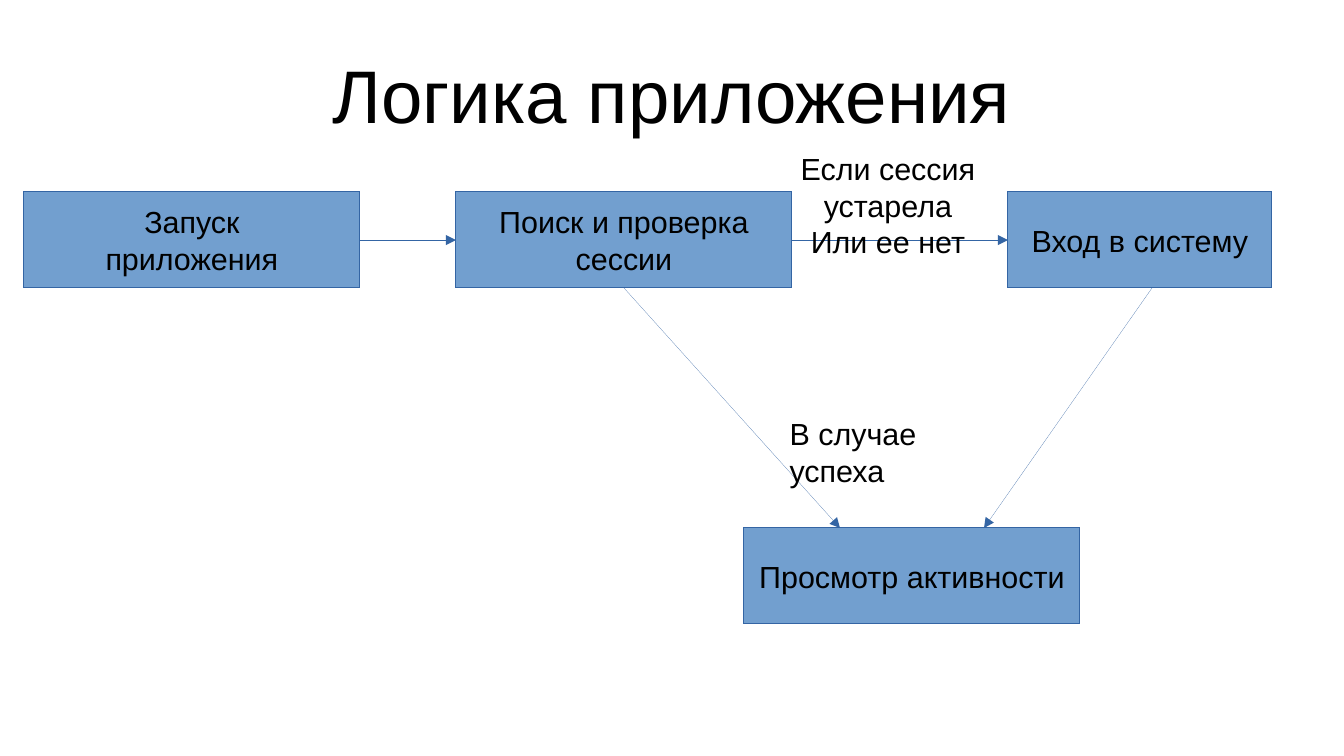
from dataclasses import dataclass

from lxml.etree import SubElement
from pptx import Presentation
from pptx.dml.color import RGBColor
from pptx.enum.shapes import MSO_CONNECTOR, MSO_SHAPE
from pptx.enum.text import MSO_ANCHOR, PP_ALIGN
from pptx.oxml.ns import qn
from pptx.shapes.autoshape import Shape
from pptx.shapes.shapetree import SlideShapes
from pptx.util import Cm, Pt


@dataclass(frozen=True)
class Theme:
    face: str = "Arial"
    ink: RGBColor = RGBColor(0, 0, 0)
    fill: RGBColor = RGBColor(0x72, 0x9F, 0xCF)
    edge: RGBColor = RGBColor(0x34, 0x65, 0xA4)
    hair: Pt = Pt(0.01)  # a zero width would fall back to the style's thick line
    head: Pt = Pt(44)
    body: Pt = Pt(18)


@dataclass(frozen=True)
class Block:
    text: str
    left: float
    top: float
    width: float
    height: float
    align: PP_ALIGN = PP_ALIGN.CENTER

    def frame(self) -> tuple[Cm, ...]:
        return tuple(map(Cm, (self.left, self.top, self.width, self.height)))


@dataclass(frozen=True)
class Arrow:
    """Ends in cm; tail and tip are optional (step name, side) joints."""
    start: tuple[float, float]
    end: tuple[float, float]
    tail: tuple[str, int] | None = None
    tip: tuple[str, int] | None = None


THEME = Theme()
ROW, LOW = 4, 11
WIDE, TALL = 7, 2
MID, BASE = ROW + TALL / 2, ROW + TALL
BOTTOM, LEFT, RIGHT = 2, 1, 3

TITLE = Block("Логика приложения", 1.4, 0.63, 25.2, 2.63)
STEPS = {
    "check": Block("Поиск и проверка сессии", 9.5, ROW, WIDE, TALL),
    "start": Block("Запуск\nприложения", 0.5, ROW, WIDE, TALL),
    "login": Block("Вход в систему", 21, ROW, 5.5, TALL),
    "view": Block("Просмотр активности", 15.5, LOW, WIDE, TALL),
}
ARROWS = (
    Arrow((7.5, MID), (9.5, MID), ("start", RIGHT), ("check", LEFT)),
    Arrow((16.5, MID), (21, MID), ("check", RIGHT), ("login", LEFT)),
    Arrow((13, BASE), (17.5, LOW), ("check", BOTTOM)),
    Arrow((24, BASE), (20.5, LOW)),
)
LABELS = (
    Block("В случае успеха", 16.2, 8.53, 5, 0.97, PP_ALIGN.LEFT),
    Block("Если сессия устарела\nИли ее нет", 15.1, 3, 6.8, 1.68),
)


def write(shape: Shape, block: Block, size: Pt, anchor: MSO_ANCHOR) -> None:
    frame = shape.text_frame
    frame.text = block.text
    frame.word_wrap = True
    frame.vertical_anchor = anchor
    for para in frame.paragraphs:
        para.alignment = block.align
        for name, value in {"name": THEME.face, "size": size}.items():
            setattr(para.font, name, value)
        para.font.color.rgb = THEME.ink


def label(shapes: SlideShapes, block: Block, size: Pt = THEME.body,
          anchor: MSO_ANCHOR = MSO_ANCHOR.TOP) -> Shape:
    shape = shapes.add_textbox(*block.frame())
    write(shape, block, size, anchor)
    return shape


def step(shapes: SlideShapes, block: Block) -> Shape:
    shape = shapes.add_shape(MSO_SHAPE.RECTANGLE, *block.frame())
    shape.shadow.inherit = False
    shape.fill.solid()
    shape.fill.fore_color.rgb = THEME.fill
    shape.line.color.rgb = THEME.edge
    shape.line.width = THEME.hair
    write(shape, block, THEME.body, MSO_ANCHOR.MIDDLE)
    return shape


def link(shapes: SlideShapes, arrow: Arrow, boxes: dict[str, Shape]) -> None:
    ends = map(Cm, (*arrow.start, *arrow.end))
    line = shapes.add_connector(MSO_CONNECTOR.STRAIGHT, *ends)
    if arrow.tail:
        name, side = arrow.tail
        line.begin_connect(boxes[name], side)
    if arrow.tip:
        name, side = arrow.tip
        line.end_connect(boxes[name], side)
    line.line.color.rgb = THEME.edge
    line.line.width = THEME.hair
    props = line._element.spPr
    SubElement(props.find(qn("a:ln")), qn("a:tailEnd"), type="triangle")
    SubElement(props, qn("a:effectLst"))


def main() -> None:
    deck = Presentation()
    deck.slide_width, deck.slide_height = Cm(28), Cm(15.75)
    shapes = deck.slides.add_slide(deck.slide_layouts[6]).shapes

    title = label(shapes, TITLE, THEME.head, MSO_ANCHOR.MIDDLE)
    for side in ("left", "top", "right", "bottom"):
        setattr(title.text_frame, f"margin_{side}", 0)

    boxes = {name: step(shapes, block) for name, block in STEPS.items()}
    for arrow in ARROWS:
        link(shapes, arrow, boxes)
    for block in LABELS:
        label(shapes, block)
    deck.save("out.pptx")


if __name__ == "__main__":
    main()
